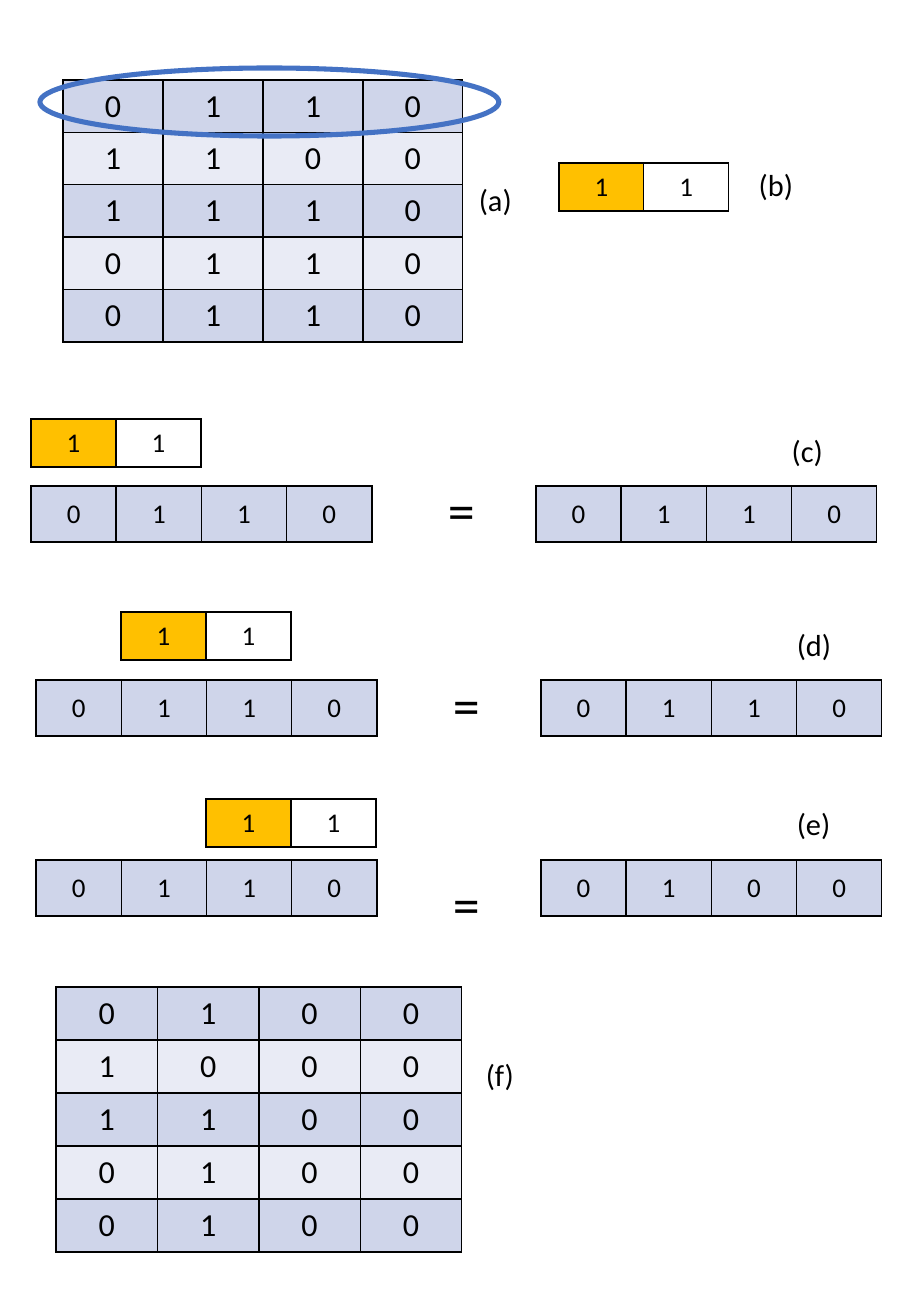
from lxml.etree import SubElement
from pptx import Presentation
from pptx.dml.color import RGBColor
from pptx.enum.shapes import MSO_SHAPE
from pptx.enum.text import MSO_ANCHOR, MSO_AUTO_SIZE, PP_ALIGN
from pptx.oxml.ns import qn
from pptx.util import Inches, Pt

# Content
INPUT_ROWS = ["0110", "1100", "1110", "0110", "0110"]
OUTPUT_ROWS = ["0100", "1000", "1100", "0100", "0100"]
KERNEL = "11"
SCANNED = INPUT_ROWS[0]
STEPS = [  # kernel offset is counted in cells of the scanned row
    dict(label="(c)", offset=0, result="0110", left=31,
         kernel_top=419, row_top=486, label_top=426, equals_top=470),
    dict(label="(d)", offset=1, result="0110", left=36,
         kernel_top=612, row_top=680, label_top=620, equals_top=665),
    dict(label="(e)", offset=2, result="0100", left=36,
         kernel_top=799, row_top=860, label_top=799, equals_top=864),
]
CAPTIONS = [("(a)", 467, 175, 68), ("(b)", 747, 160, 70), ("(f)", 474, 1050, 74)]

# Layout in pixels
INPUT_BOX = (63, 80, 400, 262)
OUTPUT_BOX = (56, 987, 406, 265)
HIGHLIGHT_BOX = (40, 68, 459, 68)
KERNEL_SIZE = (170, 48)
ROW_SIZE = (341, 56)
KERNEL_CELL = KERNEL_SIZE[0] // len(KERNEL)
EQUALS_SHIFT, RESULT_SHIFT, LABEL_SHIFT = 405, 505, 749

# Colours and formats
BLACK = RGBColor(0x00, 0x00, 0x00)
BLUE = RGBColor(0x44, 0x72, 0xC4)
BAND_DARK = RGBColor(0xCF, 0xD5, 0xEA)
BAND_LIGHT = RGBColor(0xE9, 0xEB, 0xF5)
ORANGE = RGBColor(0xFF, 0xC0, 0x00)
BANDS = [BAND_DARK, BAND_LIGHT]
SCALE = 914400 / 121.5


def px(length):
    return round(length * SCALE)


CELL_FORMAT = dict(vertical_anchor=MSO_ANCHOR.MIDDLE, margin_left=px(13),
                   margin_right=px(13), margin_top=px(6), margin_bottom=px(6))
PLAIN_TABLE = dict(first_row=False, horz_banding=False)
CAPTION_FRAME = dict(word_wrap=True, auto_size=MSO_AUTO_SIZE.SHAPE_TO_FIT_TEXT)


def apply(target, formats):
    for name, value in formats.items():
        setattr(target, name, value)


def write(frame, text, size, align=PP_ALIGN.LEFT):
    paragraph = frame.paragraphs[0]
    paragraph.alignment = align
    run = paragraph.add_run()
    run.text = text
    apply(run.font, dict(name="Calibri", size=Pt(size), bold=False))
    run.font.color.rgb = BLACK


def add_borders(cell):
    properties = cell._tc.get_or_add_tcPr()
    for position, side in enumerate(("lnL", "lnR", "lnT", "lnB")):
        border = SubElement(properties, qn(f"a:{side}"), w=str(Pt(1)))
        fill = SubElement(border, qn("a:solidFill"))
        SubElement(fill, qn("a:srgbClr"), val=str(BLACK))
        properties.insert(position, border)


def add_grid(box, rows, size, colour_of):
    left, top, width, height = box
    table = slide.shapes.add_table(len(rows), len(rows[0]), *map(px, box)).table
    apply(table, PLAIN_TABLE)
    for column in table.columns:
        column.width = px(width / len(rows[0]))
    for r, digits in enumerate(rows):
        table.rows[r].height = px(height / len(rows))
        for c, digit in enumerate(digits):
            cell = table.cell(r, c)
            apply(cell, CELL_FORMAT)
            write(cell.text_frame, digit, size, PP_ALIGN.CENTER)
            colour = colour_of(r, c)
            if colour is None:
                cell.fill.background()
            else:
                cell.fill.solid()
                cell.fill.fore_color.rgb = colour
            add_borders(cell)


def banded(r, c):
    return BANDS[r % 2]


def kernel_colour(r, c):
    return ORANGE if c == 0 else None


def add_kernel(left, top):
    add_grid((left, top, *KERNEL_SIZE), [KERNEL], 16, kernel_colour)


def add_row(left, top, digits):
    add_grid((left, top, *ROW_SIZE), [digits], 16, banded)


def add_text(text, left, top, width, height=49, size=18):
    box = slide.shapes.add_textbox(*map(px, (left, top, width, height)))
    apply(box.text_frame, CAPTION_FRAME)
    write(box.text_frame, text, size)


presentation = Presentation()
apply(presentation, dict(slide_width=Inches(7.5), slide_height=Inches(10.83)))
slide = presentation.slides.add_slide(presentation.slide_layouts[6])

# Input, kernel and output
add_grid(INPUT_BOX, INPUT_ROWS, 19, banded)
add_kernel(559, 163)
add_grid(OUTPUT_BOX, OUTPUT_ROWS, 19, banded)
for caption in CAPTIONS:
    add_text(*caption)

# Kernel sliding along the scanned row
for step in STEPS:
    left, row_top = step["left"], step["row_top"]
    add_kernel(left + step["offset"] * KERNEL_CELL, step["kernel_top"])
    add_row(left, row_top, SCANNED)
    add_text("=", left + EQUALS_SHIFT, step["equals_top"], 84, 78, 32)
    add_row(left + RESULT_SHIFT, row_top, step["result"])
    add_text(step["label"], left + LABEL_SHIFT, step["label_top"], 92)

# Ellipse around the scanned row
highlight = slide.shapes.add_shape(MSO_SHAPE.OVAL, *map(px, HIGHLIGHT_BOX))
highlight.shadow.inherit = False
highlight.fill.background()
highlight.line.color.rgb = BLUE
highlight.line.width = Pt(3)

presentation.save("out.pptx")
